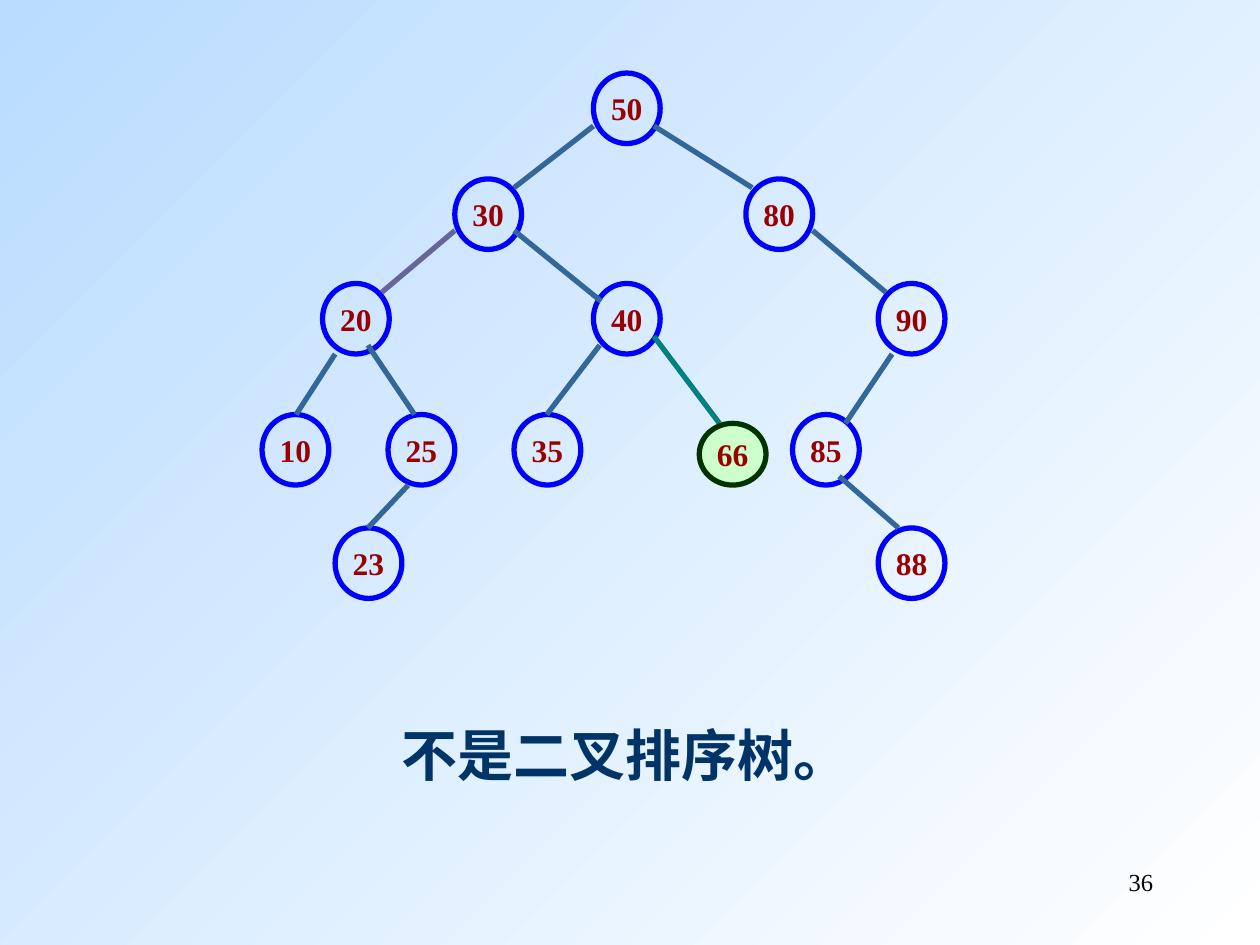
from lxml.etree import SubElement
from pptx import Presentation
from pptx.dml.color import RGBColor
from pptx.enum.shapes import MSO_CONNECTOR as Connector, MSO_SHAPE as Shape
from pptx.enum.text import MSO_ANCHOR as Anchor, PP_ALIGN as Align
from pptx.oxml.ns import qn
from pptx.util import Inches, Pt

SKY = RGBColor(0xB9, 0xDC, 0xFF)
WHITE = RGBColor(0xFF, 0xFF, 0xFF)
BLUE = RGBColor(0x00, 0x00, 0xFF)
DARK_RED = RGBColor(0x99, 0x00, 0x00)
STEEL = RGBColor(0x33, 0x66, 0x99)
VIOLET = RGBColor(0x66, 0x66, 0x99)
TEAL = RGBColor(0x00, 0x80, 0x80)
DARK_GREEN = RGBColor(0x00, 0x33, 0x00)
LIGHT_GREEN = RGBColor(0xCC, 0xFF, 0xCC)
NAVY = RGBColor(0x00, 0x33, 0x66)
BLACK = RGBColor(0x00, 0x00, 0x00)

FONT = "Times New Roman"
LINE_WIDTH = Pt(3)
NODE_WIDTH, NODE_HEIGHT = 0.53, 0.56

# Tree levels: top, then (key, left) of each node
LEVELS = [
    (0.58, [(50, 4.71)]),
    (1.42, [(30, 3.61), (80, 5.92)]),
    (2.25, [(20, 2.56), (40, 4.71), (90, 6.97)]),
    (3.29, [(10, 2.08), (25, 3.08), (35, 4.08), (85, 6.29)]),
    (4.19, [(23, 2.66), (88, 6.97)]),
]

# Edges: start x, start y, end x, end y, colour
EDGES = [
    (4.71, 1.00, 4.08, 1.49, STEEL),
    (3.61, 1.83, 3.03, 2.32, VIOLET),
    (5.19, 1.00, 5.97, 1.49, STEEL),
    (4.08, 1.83, 4.77, 2.39, STEEL),
    (2.66, 2.81, 2.35, 3.29, STEEL),
    (2.92, 2.74, 3.29, 3.29, STEEL),
    (3.24, 3.85, 2.92, 4.19, STEEL),
    (4.76, 2.74, 4.34, 3.29, STEEL),
    (6.45, 1.83, 7.03, 2.32, STEEL),
    (7.08, 2.81, 6.71, 3.36, STEEL),
    (6.66, 3.78, 7.13, 4.19, STEEL),
    (5.19, 2.67, 5.71, 3.36, TEAL),
]


def paint_background(page):
    fill = page.background.fill
    fill.gradient()
    fill.gradient_angle = 315
    for stop, color in zip(fill.gradient_stops, (SKY, WHITE)):
        stop.color.rgb = color


def write(frame, text, size, color, bold=False, align=Align.LEFT, wrap=False):
    frame.word_wrap = wrap
    para = frame.paragraphs[0]
    para.text = text
    para.alignment = align
    font = para.font
    font.name, font.size, font.bold = FONT, Pt(size), bold
    font.color.rgb = color


def add_node(page, key, left, top, height=NODE_HEIGHT, line=BLUE, fill=None):
    node = page.shapes.add_shape(
        Shape.OVAL, Inches(left), Inches(top), Inches(NODE_WIDTH), Inches(height))
    node.shadow.inherit = False
    if fill is None:
        node.fill.background()
    else:
        node.fill.solid()
        node.fill.fore_color.rgb = fill
    node.line.color.rgb = line
    node.line.width = LINE_WIDTH
    node.text_frame.vertical_anchor = Anchor.MIDDLE
    write(node.text_frame, str(key), 18, DARK_RED, bold=True, align=Align.CENTER)


def add_edge(page, x1, y1, x2, y2, color):
    edge = page.shapes.add_connector(
        Connector.STRAIGHT, Inches(x1), Inches(y1), Inches(x2), Inches(y2))
    edge.line.color.rgb = color
    edge.line.width = LINE_WIDTH
    SubElement(edge.element.spPr, qn("a:effectLst"))


def add_text(page, left, top, width, height, text, size, color, **style):
    box = page.shapes.add_textbox(
        Inches(left), Inches(top), Inches(width), Inches(height))
    write(box.text_frame, text, size, color, **style)


def main():
    deck = Presentation()
    deck.slide_width, deck.slide_height = Inches(10), Inches(7.5)
    page = deck.slides.add_slide(deck.slide_layouts[6])
    paint_background(page)

    # Binary tree, with the misplaced key highlighted
    for top, nodes in LEVELS:
        for key, left in nodes:
            add_node(page, key, left, top)
    for edge in EDGES:
        add_edge(page, *edge)
    add_node(page, 66, 5.55, 3.36, height=0.49, line=DARK_GREEN, fill=LIGHT_GREEN)

    # Conclusion and page number
    add_text(page, 3.09, 5.67, 3.76, 0.64, "不是二叉排序树。", 32, NAVY, bold=True)
    add_text(page, 7.17, 6.83, 2.08, 0.5, "36", 14, BLACK,
             align=Align.RIGHT, wrap=True)

    deck.save("out.pptx")


if __name__ == "__main__":
    main()
